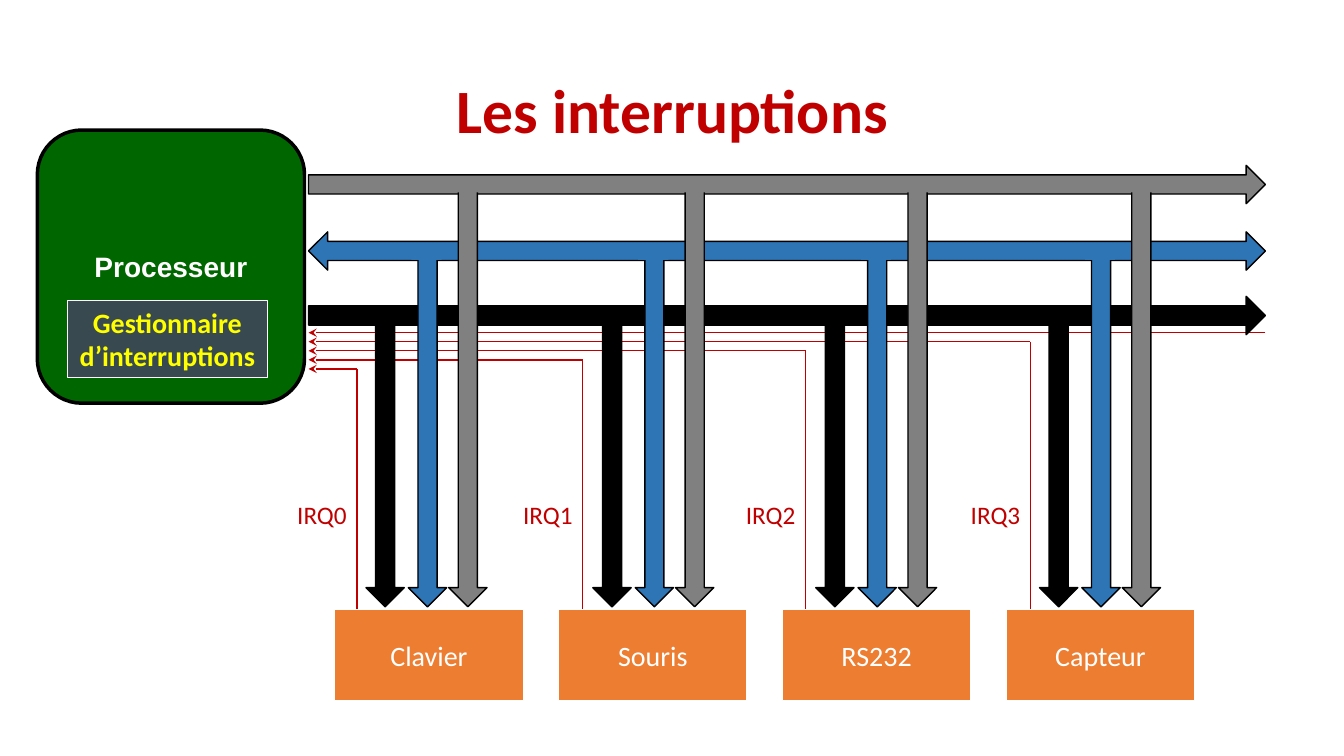
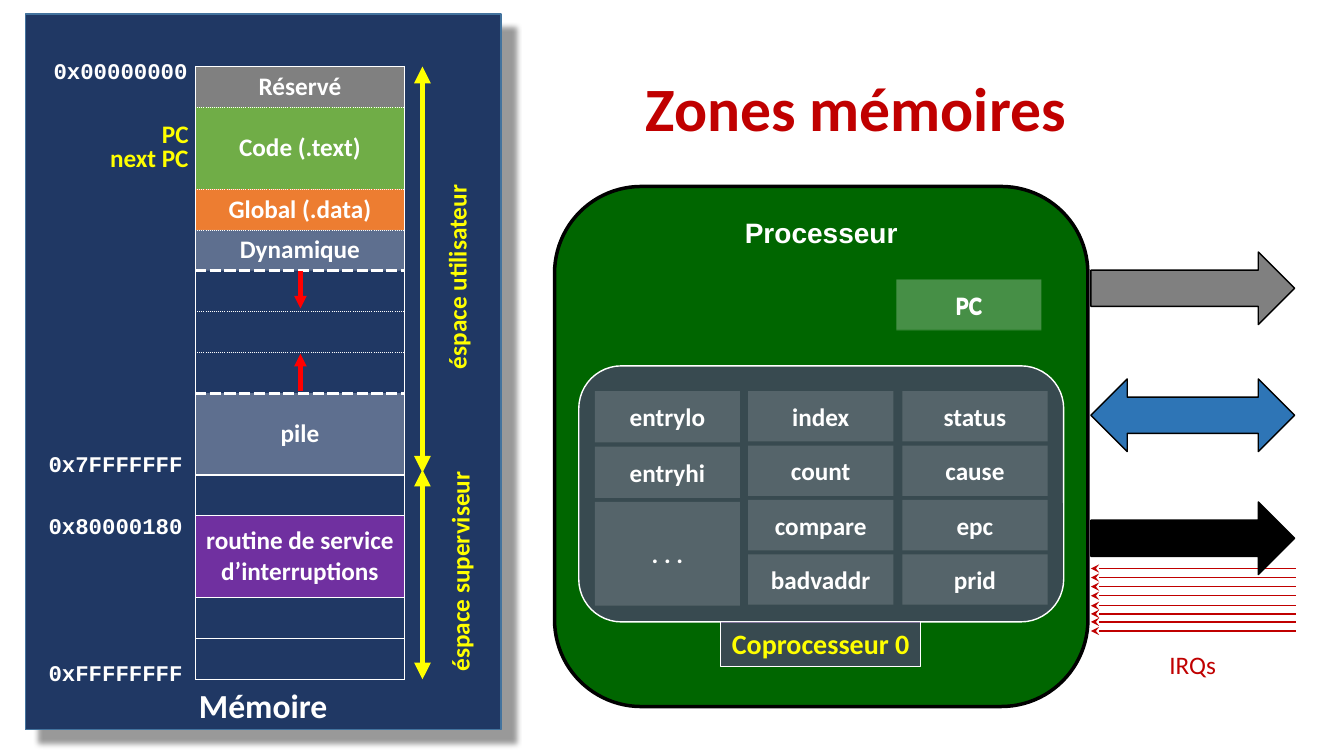
from lxml.etree import SubElement
from pptx import Presentation
from pptx.dml.color import RGBColor
from pptx.enum.shapes import MSO_CONNECTOR, MSO_SHAPE
from pptx.enum.text import MSO_ANCHOR, PP_ALIGN
from pptx.oxml.ns import qn
from pptx.util import Inches, Pt

WHITE, BLACK, YELLOW, RED = "FFFFFF", "000000", "FFFF00", "C00000"
GREEN, BLUE, GREY, ORANGE, PURPLE = "006600", "2E75B6", "808080", "ED7D31", "7030A0"
TITLE = {"name": "Calibri", "size": Pt(44), "bold": True}
LARGE = {"name": "Calibri", "size": Pt(24), "bold": True}
STRONG = {"name": "Calibri", "size": Pt(20), "bold": True}
DEVICE = {"name": "Calibri", "size": Pt(20), "bold": False}
LABEL = {"name": "Calibri", "size": Pt(18), "bold": True}
IRQ = {"name": "Calibri", "size": Pt(18), "bold": False}
ADDRESS = {"name": "Courier New", "size": Pt(16), "bold": True}
PROCESSOR = {"name": "Arial", "size": Pt(20), "bold": True}
LEFT, CENTER, RIGHT = PP_ALIGN.LEFT, PP_ALIGN.CENTER, PP_ALIGN.RIGHT
TOP, MIDDLE, BOTTOM = MSO_ANCHOR.TOP, MSO_ANCHOR.MIDDLE, MSO_ANCHOR.BOTTOM
RECTANGLE, ROUNDED = MSO_SHAPE.RECTANGLE, MSO_SHAPE.ROUNDED_RECTANGLE
RIGHT_ARROW, BOTH_ARROW = MSO_SHAPE.RIGHT_ARROW, MSO_SHAPE.LEFT_RIGHT_ARROW


def style(target, text="", font=LABEL, color=WHITE, fill=None, alpha=100, line=None,
          weight=1, align=CENTER, anchor=MIDDLE, wrap=True, inset=None, spacing=None):
    if fill:
        target.fill.solid()
        target.fill.fore_color.rgb = RGBColor.from_string(fill)
        if alpha < 100:
            tint = target.fill._xPr.find(".//" + qn("a:srgbClr"))
            SubElement(tint, qn("a:alpha"), val=str(alpha * 1000))
    else:
        target.fill.background()
    frame = target.text_frame
    if hasattr(target, "line"):
        target.shadow.inherit = False
        if line:
            target.line.color.rgb = RGBColor.from_string(line)
            target.line.width = Pt(weight)
        else:
            target.line.fill.background()
        frame.word_wrap = wrap
        frame.vertical_anchor = anchor
        if inset is not None:
            for side in ("left", "top", "right", "bottom"):
                setattr(frame, "margin_" + side, Inches(inset))
    else:
        target.vertical_anchor = anchor
    if text:
        frame.text = text
        for paragraph in frame.paragraphs:
            paragraph.alignment = align
            paragraph.line_spacing = spacing
            for name, value in font.items():
                setattr(paragraph.runs[0].font, name, value)
            paragraph.runs[0].font.color.rgb = RGBColor.from_string(color)
    return target


def connect(slide, start, end, color=RED, weight=1, head=None, tail=None):
    connector = slide.shapes.add_connector(
        MSO_CONNECTOR.STRAIGHT, *map(Inches, (*start, *end)))
    connector.line.color.rgb = RGBColor.from_string(color)
    connector.line.width = Pt(weight)
    outline = connector.line._get_or_add_ln()
    for tag, kind in (("a:headEnd", head), ("a:tailEnd", tail)):
        if kind:
            SubElement(outline, qn(tag), type=kind)
    SubElement(connector.element.spPr, qn("a:effectLst"))


presentation = Presentation()
presentation.slide_width = Inches(13.33)
presentation.slide_height = Inches(7.5)
interrupts, memory = [
    presentation.slides.add_slide(presentation.slide_layouts[6]) for _ in range(2)]

IRQ_X = (3.54, 5.78, 7.99, 10.22)
connect(interrupts, (12.55, 3.3), (3.06, 3.3), tail="stealth")
for number, x in enumerate(IRQ_X):
    y = 3.66 - 0.09 * number
    connect(interrupts, (x, y), (3.06, y), tail="stealth")
    connect(interrupts, (x, 6.05), (x, y))
    label = interrupts.shapes.add_textbox(*map(Inches, (x - 0.69, 4.9, 0.7, 0.4)))
    style(label, f"IRQ{number}", IRQ, RED, align=LEFT, anchor=TOP, wrap=False)

for y in (5.64, 5.73, 5.82, 5.91, 6.01, 6.09, 6.17, 6.26):
    connect(memory, (12.85, y), (10.82, y), tail="stealth")
label = memory.shapes.add_textbox(*map(Inches, (11.5, 6.39, 0.67, 0.4)))
style(label, "IRQs", IRQ, RED, align=LEFT, anchor=TOP, wrap=False)

for slide, title, title_box, processor_box, anchor, x, width, height, tops in (
    (interrupts, "Les interruptions", (0.92, 0.4, 11.5, 1.45),
     (0.37, 1.29, 2.65, 2.71), MIDDLE, 3.06, 9.49, 0.38, (2.94, 2.3, 1.64)),
    (memory, "Zones mémoires", (4.56, 0.38, 7.86, 1.45),
     (5.5, 1.85, 5.29, 5.16), TOP, 10.82, 2.02, 0.72, (4.98, 3.76, 2.5)),
):
    for preset, color, top in zip(
            (RIGHT_ARROW, BOTH_ARROW, RIGHT_ARROW), (BLACK, BLUE, GREY), tops):
        bus = slide.shapes.add_shape(preset, *map(Inches, (x, top, width, height)))
        style(bus, fill=color, line=BLACK)
    processor = slide.shapes.add_shape(ROUNDED, *map(Inches, processor_box))
    style(processor, "Processeur", PROCESSOR, fill=GREEN, line=BLACK, weight=2.5,
          anchor=anchor, inset=0.04)
    heading = slide.shapes.add_textbox(*map(Inches, title_box))
    style(heading, title, TITLE, RED, spacing=0.9)

STEM_END = 6.02
for stem_x in (3.82, 6.07, 8.28, 10.5):
    for offset, length, color, joint in (
        (0, 2.89, BLACK, None), (0.42, 3.52, BLUE, (2.45, 0.13)),
        (0.82, 4.16, GREY, (1.76, 0.15)),
    ):
        center = stem_x + offset
        stem = interrupts.shapes.add_shape(RIGHT_ARROW, *map(Inches, (
            center - length / 2, STEM_END - length / 2 - 0.19, length, 0.38)))
        stem.rotation = 90
        style(stem, fill=color, line=BLACK)
        if joint:
            patch = interrupts.shapes.add_shape(
                RECTANGLE, *map(Inches, (center - 0.16, joint[0], 0.3, joint[1])))
            style(patch, fill=color)

for number, name in enumerate(("Clavier", "Souris", "RS232", "Capteur")):
    device = interrupts.shapes.add_shape(
        RECTANGLE, *map(Inches, (3.32 + 2.22 * number, 6.05, 1.87, 0.9)))
    style(device, name, DEVICE, fill=ORANGE, line=WHITE)

memory_panel = memory.shapes.add_shape(RECTANGLE, *map(Inches, (0.25, 0.14, 4.72, 7.1)))
style(memory_panel, "Mémoire", LARGE, fill="203864", line="43739E", anchor=BOTTOM)
shadow = SubElement(
    memory_panel.element.spPr.find(qn("a:effectLst")), qn("a:outerShdw"),
    blurRad=str(Pt(4)), dist=str(Pt(14)), dir="2700000", algn="tl", rotWithShape="0")
shadow_color = SubElement(shadow, qn("a:srgbClr"), val=BLACK)
SubElement(shadow_color, qn("a:alpha"), val="40000")

EDGE, DOTTED, DASHED = (1, "solid"), (0.5, "sysDot"), (2.25, "lgDash")
THICK, THIN = (2.25, "solid"), (0.5, "solid")
SECTIONS = (
    (1, "Réservé", GREY, 100, DOTTED),
    (2, "Code (.text)", "70AD47", 100, DOTTED),
    (1, "Global (.data)", ORANGE, 100, DOTTED),
    (1, "Dynamique", WHITE, 28, DASHED),
    (1, "", None, 100, DOTTED),
    (1, "", None, 100, DOTTED),
    (1, "", None, 100, DASHED),
    (2, "pile", WHITE, 28, THICK),
    (1, "", None, 100, THIN),
    (2, "routine de service\nd’interruptions", PURPLE, 100, THIN),
    (1, "", None, 100, THIN),
    (1, "", None, 100, THIN),
)
table = memory.shapes.add_table(15, 2, *map(Inches, (0.39, 0.66, 3.62, 6.08))).table
table.first_row = table.horz_banding = False
table._tbl.tblPr.find(qn("a:tableStyleId")).text = "{2D5ABB26-0587-4C30-8999-92F81FD0307C}"
for column, width in zip(table.columns, (1.55, 2.07)):
    column.width = Inches(width)
for row in table.rows:
    row.height = Inches(6.08 / 15)
    row.cells[0].fill.background()
first, upper = 0, EDGE
for span, text, fill, alpha, lower in SECTIONS:
    if span > 1:
        table.cell(first, 1).merge(table.cell(first + span - 1, 1))
    style(table.cell(first, 1), text, fill=fill, alpha=alpha)
    for row in range(first, first + span):
        properties = table.cell(row, 1)._tc.get_or_add_tcPr()
        for place, (tag, (weight, dash)) in enumerate((
                ("a:lnL", EDGE), ("a:lnR", EDGE), ("a:lnT", upper), ("a:lnB", lower))):
            border = SubElement(properties, qn(tag), w=str(Pt(weight)))
            SubElement(SubElement(border, qn("a:solidFill")), qn("a:srgbClr"), val=WHITE)
            SubElement(border, qn("a:prstDash"), val=dash)
            properties.insert(place, border)
    first, upper = first + span, lower

for start, end in ((3.88, 3.51), (2.69, 3.06)):
    connect(memory, (2.98, start), (2.98, end), "FF0000", 3, tail="triangle")
for text, right, top, font, color in (
    ("0x00000000", 1.96, 0.52, ADDRESS, WHITE),
    ("PC", 1.97, 1.12, LABEL, YELLOW),
    ("next PC", 1.97, 1.36, LABEL, YELLOW),
    ("0x7FFFFFFF", 1.91, 4.42, ADDRESS, WHITE),
    ("0x80000180", 1.91, 5.03, ADDRESS, WHITE),
    ("0xFFFFFFFF", 1.91, 6.49, ADDRESS, WHITE),
):
    marker = memory.shapes.add_textbox(*map(Inches, (right - 1.66, top, 1.66, 0.4)))
    style(marker, text, font, color, align=RIGHT, anchor=TOP)
for text, start, end, box in (
    ("éspace utilisateur", 0.66, 4.69, (4.33, 1.82, 0.5, 1.94)),
    ("éspace superviseur", 4.66, 6.74, (4.36, 4.67, 0.5, 2.09)),
):
    connect(memory, (4.19, start), (4.19, end), YELLOW, 4, "triangle", "triangle")
    space = memory.shapes.add_textbox(*map(Inches, box))
    style(space, text, color=YELLOW, align=LEFT, anchor=TOP, wrap=False)
    space.text_frame._txBody.bodyPr.set("vert", "vert270")

coprocessor = memory.shapes.add_shape(ROUNDED, *map(Inches, (5.74, 3.63, 4.81, 2.54)))
style(coprocessor, fill=PURPLE, alpha=50, line=WHITE)
registers = [("PC", 8.89, top, 0.5) for top in (2.77, 2.78)]
for left, step, height, names in (
    (5.9, 0.55, 0.51, ("entrylo", "entryhi", ". . .")),
    (7.42, 0.54, 0.5, ("index", "count", "compare", "badvaddr")),
    (8.95, 0.54, 0.5, ("status", "cause", "epc", "prid")),
):
    for number, name in enumerate(names):
        registers.append(
            (name, left, 3.88 + step * number, 1.03 if name == ". . ." else height))
for name, left, top, height in registers:
    register = memory.shapes.add_shape(RECTANGLE, *map(Inches, (left, top, 1.44, height)))
    style(register, name, fill=WHITE, alpha=15)

for slide, text, box in (
    (interrupts, "Gestionnaire\nd’interruptions", (0.67, 2.98, 1.98, 0.77)),
    (memory, "Coprocesseur 0", (7.15, 6.17, 1.98, 0.44)),
):
    unit = slide.shapes.add_shape(RECTANGLE, *map(Inches, box))
    style(unit, text, STRONG, YELLOW, fill=PURPLE, alpha=50, line=WHITE, weight=0.75,
          anchor=TOP, wrap=False)

presentation.save("out.pptx")
